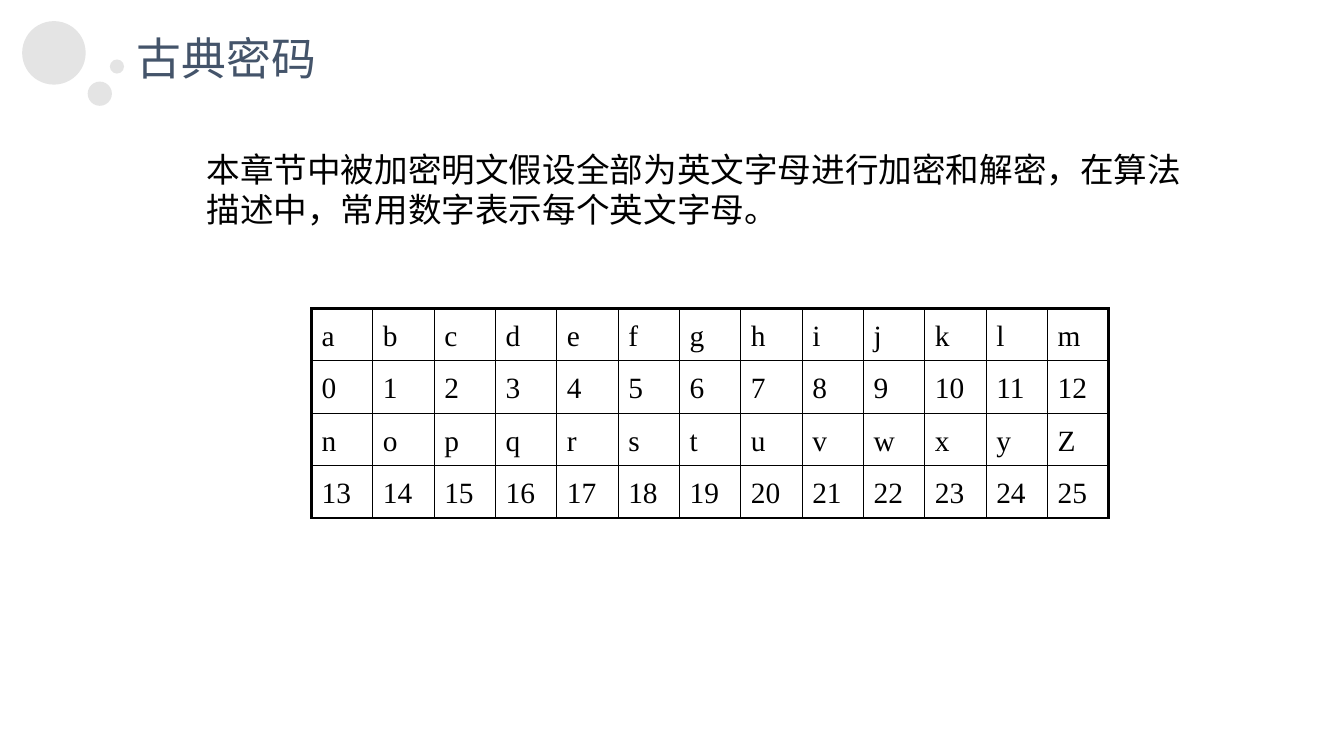
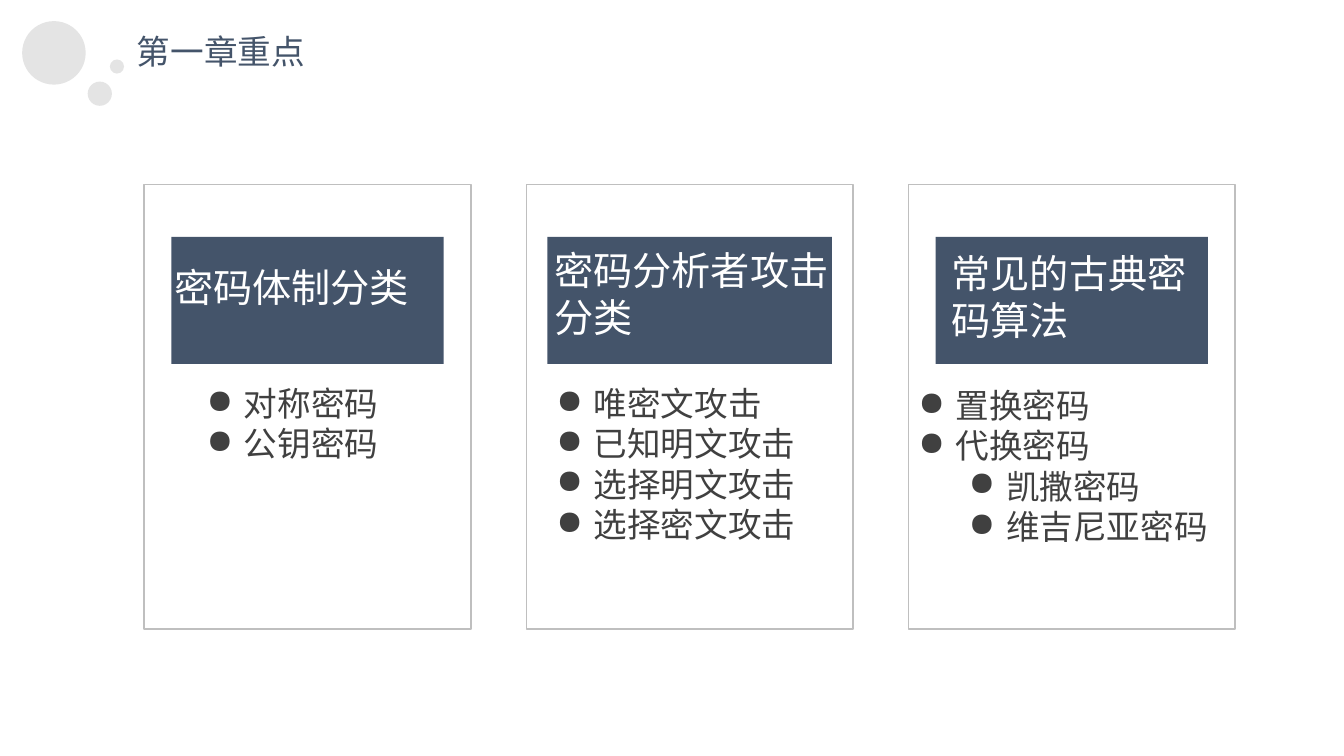
from dataclasses import dataclass

from lxml import etree
from pptx import Presentation
from pptx.dml.color import RGBColor
from pptx.enum.shapes import MSO_SHAPE
from pptx.oxml.ns import qn
from pptx.util import Inches, Pt

NAVY = "44546A"
PALE_GRAY = "D9D9D9"
LINE_GRAY = "BFBFBF"
TEXT_GRAY = "404040"
BLACK = "000000"
WHITE = "FFFFFF"
CHINESE_FONT = "Noto Sans CJK SC"
TABLE_FONT = "Times New Roman"

CARD_TOP, CARD_WIDTH, CARD_HEIGHT = 1.83, 3.24, 4.41
CARD_LEFT, CARD_PITCH = 1.43, 3.79
BULLET_INDENT = 0.37


@dataclass
class Card:
    """Offsets are measured from the card's top left corner."""
    heading: str
    heading_box: tuple
    band_width: float
    items: list
    items_box: tuple


CARDS = [
    Card("密码体制分类", (0.2, 0.73, 2.56, 0.57), 2.7,
         [("对称密码", 0), ("公钥密码", 0)], (0.52, 1.92, 2.02, 0.91)),
    Card("密码分析者攻击分类", (0.18, 0.56, 3.01, 1.04), 2.82,
         [("唯密文攻击", 0), ("已知明文攻击", 0), ("选择明文攻击", 0),
          ("选择密文攻击", 0)], (0.2, 1.92, 2.69, 1.72)),
    Card("常见的古典密码算法", (0.33, 0.59, 2.7, 1.04), 2.7,
         [("置换密码", 0), ("代换密码", 0), ("凯撒密码", 1),
          ("维吉尼亚密码", 1)], (0, 1.94, 3.24, 1.72)),
]

LETTER_ROWS = [
    list("abcdefghijklm"),
    [str(number) for number in range(13)],
    list("nopqrstuvwxyZ"),
    [str(number) for number in range(13, 26)],
]


def color(hex_string):
    return RGBColor.from_string(hex_string)


def add_run(paragraph, text, size, hex_color, font_name=CHINESE_FONT):
    run = paragraph.add_run()
    run.text = text
    run.font.size = Pt(size)
    run.font.name = font_name
    run.font.color.rgb = color(hex_color)
    east_asian = etree.Element(qn("a:ea"), typeface=font_name)
    run.font._element.find(qn("a:latin")).addnext(east_asian)


def add_bullet(paragraph, level):
    paragraph.level = level
    properties = paragraph._p.get_or_add_pPr()
    properties.set("marL", str(Inches(BULLET_INDENT + 0.5 * level)))
    properties.set("indent", str(-Inches(BULLET_INDENT)))
    etree.SubElement(properties, qn("a:buChar"), char="●")


def add_text(slide, box, items, size, hex_color, bulleted=False, wrap=True):
    """Add one paragraph for each (text, level) item."""
    text_frame = slide.shapes.add_textbox(*map(Inches, box)).text_frame
    text_frame.word_wrap = wrap
    for index, (text, level) in enumerate(items):
        paragraph = text_frame.add_paragraph() if index else text_frame.paragraphs[0]
        if bulleted:
            add_bullet(paragraph, level)
        paragraph.line_spacing = Pt(size * 1.2)
        add_run(paragraph, text, size, hex_color)


def add_box(slide, kind, box, fill=None, line=None):
    shape = slide.shapes.add_shape(kind, *map(Inches, box))
    shape.shadow.inherit = False
    if fill:
        shape.fill.solid()
        shape.fill.fore_color.rgb = color(fill)
    else:
        shape.fill.background()
    if line:
        shape.line.color.rgb = color(line)
        shape.line.width = Pt(1)
    else:
        shape.line.fill.background()
    if kind == MSO_SHAPE.ROUNDED_RECTANGLE:
        shape.adjustments[0] = 0
    return shape


def decorate_layout(presentation, layout):
    """Put the bubbles on the layout, drawing them on its first slide."""
    slide = presentation.slides[0]
    for left, top, diameter in [(0.22, 0.21, 0.63), (0.87, 0.81, 0.24),
                                (1.09, 0.59, 0.14)]:
        bubble = add_box(slide, MSO_SHAPE.FLOWCHART_CONNECTOR,
                         (left, top, diameter, diameter), PALE_GRAY)
        fill = bubble._element.spPr.find(qn("a:solidFill"))
        etree.SubElement(fill[0], qn("a:alpha"), val="70000")
        layout.shapes._spTree.append(bubble._element)


def add_titled_slide(presentation, layout, title, size, width):
    slide = presentation.slides.add_slide(layout)
    add_text(slide, (1.26, 0.26, width, size / 50), [(title, 0)], size, NAVY,
             wrap=False)
    return slide


def set_borders(cell, widths):
    """Give the left, right, top and bottom borders their widths in points."""
    properties = cell._tc.get_or_add_tcPr()
    for index, (side, width) in enumerate(zip("LRTB", widths)):
        border = etree.Element(qn(f"a:ln{side}"), w=str(Pt(width)))
        fill = etree.SubElement(border, qn("a:solidFill"))
        etree.SubElement(fill, qn("a:srgbClr"), val=BLACK)
        properties.insert(index, border)


def add_letter_table(slide, left, top, width, height):
    row_count, column_count = len(LETTER_ROWS), len(LETTER_ROWS[0])
    table = slide.shapes.add_table(row_count, column_count, Inches(left), Inches(top),
                                   Inches(width), Inches(height)).table
    table.first_row = table.horz_banding = False
    for row_index, texts in enumerate(LETTER_ROWS):
        for column_index, text in enumerate(texts):
            cell = table.cell(row_index, column_index)
            cell.fill.background()
            outer_sides = (column_index == 0, column_index == column_count - 1,
                           row_index == 0, row_index == row_count - 1)
            set_borders(cell, [2.25 if outer else 1 for outer in outer_sides])
            paragraph = cell.text_frame.paragraphs[0]
            paragraph.line_spacing = 1.2
            add_run(paragraph, text, 21, BLACK, TABLE_FONT)


def add_card(slide, left, top, card):
    def placed(box):
        return (left + box[0], top + box[1], *box[2:])

    band = ((CARD_WIDTH - card.band_width) / 2, 0.52, card.band_width, 1.26)
    add_box(slide, MSO_SHAPE.ROUNDED_RECTANGLE, placed(band), fill=NAVY)
    add_box(slide, MSO_SHAPE.ROUNDED_RECTANGLE,
            (left, top, CARD_WIDTH, CARD_HEIGHT), line=LINE_GRAY)
    add_text(slide, placed(card.heading_box), [(card.heading, 0)], 28, WHITE)
    add_text(slide, placed(card.items_box), card.items, 24, TEXT_GRAY, bulleted=True)


def add_cipher_slide(presentation, layout):
    slide = add_titled_slide(presentation, layout, "古典密码", 32, 2)
    introduction = "本章节中被加密明文假设全部为英文字母进行加密和解密，在算法描述中，常用数字表示每个英文字母。"
    add_text(slide, (1.95, 1.43, 10.1, 1), [(introduction, 0)], 24, BLACK)
    add_letter_table(slide, 3.09, 3.06, 7.91, 2.08)


def add_summary_slide(presentation, layout):
    slide = add_titled_slide(presentation, layout, "第一章重点", 24, 1.88)
    for index, card in enumerate(CARDS):
        add_card(slide, CARD_LEFT + index * CARD_PITCH, CARD_TOP, card)


def main():
    presentation = Presentation()
    presentation.slide_width = Inches(13.33)
    presentation.slide_height = Inches(7.5)
    layout = presentation.slide_layouts[6]
    add_cipher_slide(presentation, layout)
    add_summary_slide(presentation, layout)
    decorate_layout(presentation, layout)
    presentation.save("out.pptx")


if __name__ == "__main__":
    main()
